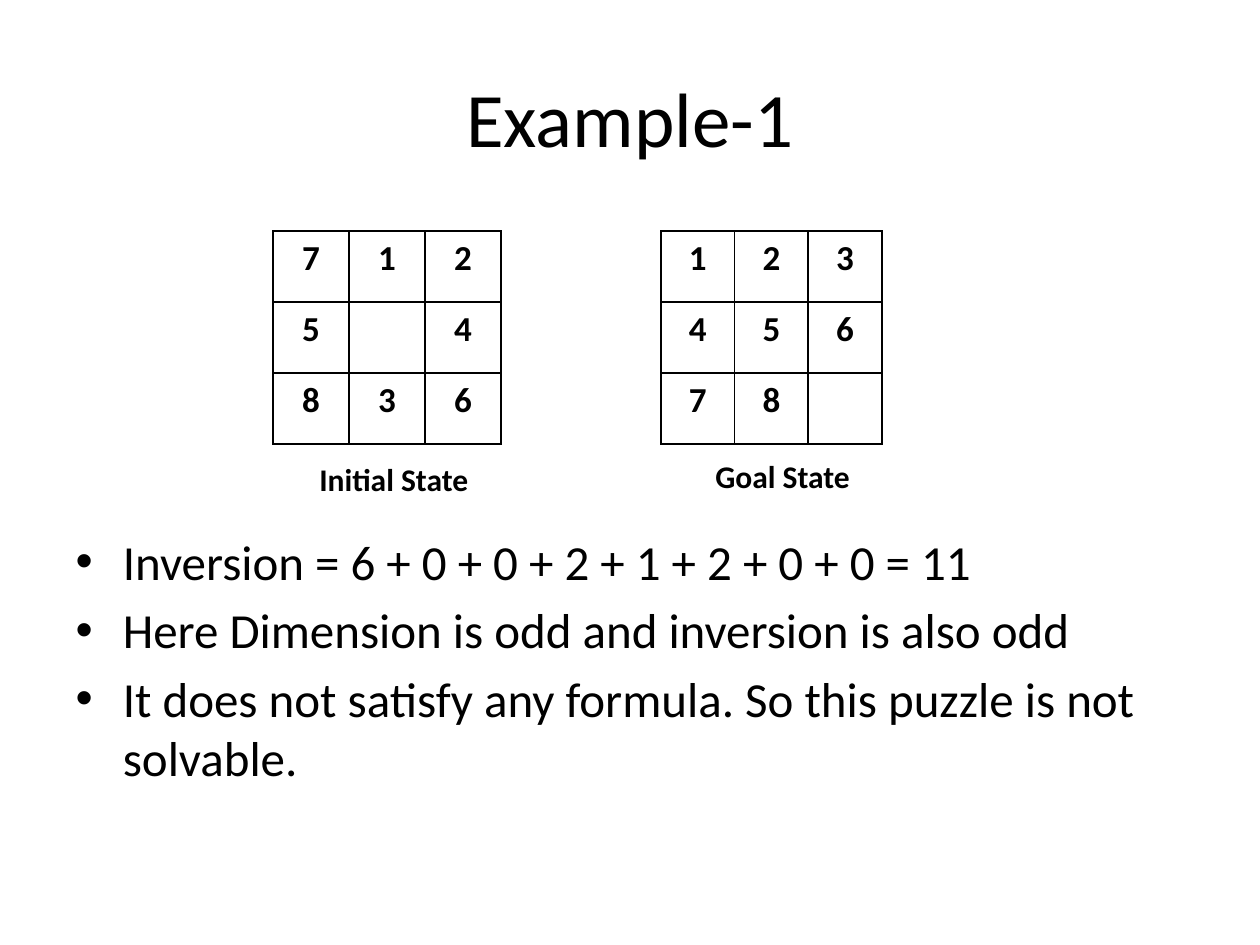
"""Build a slide that tests an 8-puzzle for solvability by counting inversions."""
from lxml.etree import SubElement
from pptx import Presentation
from pptx.dml.color import RGBColor
from pptx.enum.text import MSO_ANCHOR as Anchor, PP_ALIGN as Align
from pptx.oxml.ns import qn
from pptx.util import Emu, Pt

PX = 914400 // 126
FONT, INK, PAPER = "Calibri", "000000", "FFFFFF"
ROW_HEIGHT, GRID_TOP = 71, 231

TITLE = "Example-1"
FINDINGS = [
    "Inversion = 6 + 0 + 0 + 2 + 1 + 2 + 0 + 0 = 11",
    "Here Dimension is odd and inversion is also odd",
    "It does not satisfy any formula. So this puzzle is not solvable.",
]
PUZZLES = [
    {"tiles": ["712", "5 4", "836"], "left": 273, "width": 228,
     "caption": "Initial State", "caption_box": (307, 454, 175, 51)},
    {"tiles": ["123", "456", "78 "], "left": 661, "width": 221,
     "caption": "Goal State", "caption_box": (703, 451, 161, 51)},
]


def px(*lengths):
    return [Emu(length * PX) for length in lengths]


def color(hex_code):
    return RGBColor.from_string(hex_code)


def write(paragraph, wording, size, bold=False, align=None):
    paragraph.alignment = align
    run = paragraph.add_run()
    run.text = wording
    run.font.name, run.font.size, run.font.bold = FONT, Pt(size), bold
    run.font.color.rgb = color(INK)


def move(placeholder, *box):
    placeholder.left, placeholder.top, placeholder.width, placeholder.height = px(*box)


def style_cell(cell):
    cell.fill.solid()
    cell.fill.fore_color.rgb = color(PAPER)
    properties = cell._tc.get_or_add_tcPr()
    for position, side in enumerate(("lnL", "lnR", "lnT", "lnB")):
        border = SubElement(properties, qn(f"a:{side}"), w=str(Pt(1)))
        ink = SubElement(SubElement(border, qn("a:solidFill")), qn("a:srgbClr"))
        ink.set("val", INK)
        properties.insert(position, border)


def add_puzzle(slide, tiles, left, width, caption, caption_box):
    rows, columns = len(tiles), len(tiles[0])
    frame = slide.shapes.add_table(
        rows, columns, *px(left, GRID_TOP, width, rows * ROW_HEIGHT))
    for r, row in enumerate(tiles):
        for c, tile in enumerate(row):
            cell = frame.table.cell(r, c)
            style_cell(cell)
            if tile.strip():
                write(cell.text_frame.paragraphs[0], tile, 20, True, Align.CENTER)

    label = slide.shapes.add_textbox(*px(*caption_box)).text_frame
    label.word_wrap = False
    write(label.paragraphs[0], caption, 18, True)


def main():
    deck = Presentation()
    deck.slide_width, deck.slide_height = px(1260, 945)
    slide = deck.slides.add_slide(deck.slide_layouts[1])

    title, body = slide.placeholders
    move(title, 63, 38, 1134, 157)
    title.text_frame.vertical_anchor = Anchor.MIDDLE
    write(title.text_frame.paragraphs[0], TITLE, 44, align=Align.CENTER)

    move(body, 63, 525, 1134, 273)
    findings = body.text_frame
    for index, finding in enumerate(FINDINGS):
        paragraph = findings.add_paragraph() if index else findings.paragraphs[0]
        write(paragraph, finding, 28)

    for puzzle in PUZZLES:
        add_puzzle(slide, **puzzle)
    deck.save("out.pptx")


if __name__ == "__main__":
    main()
